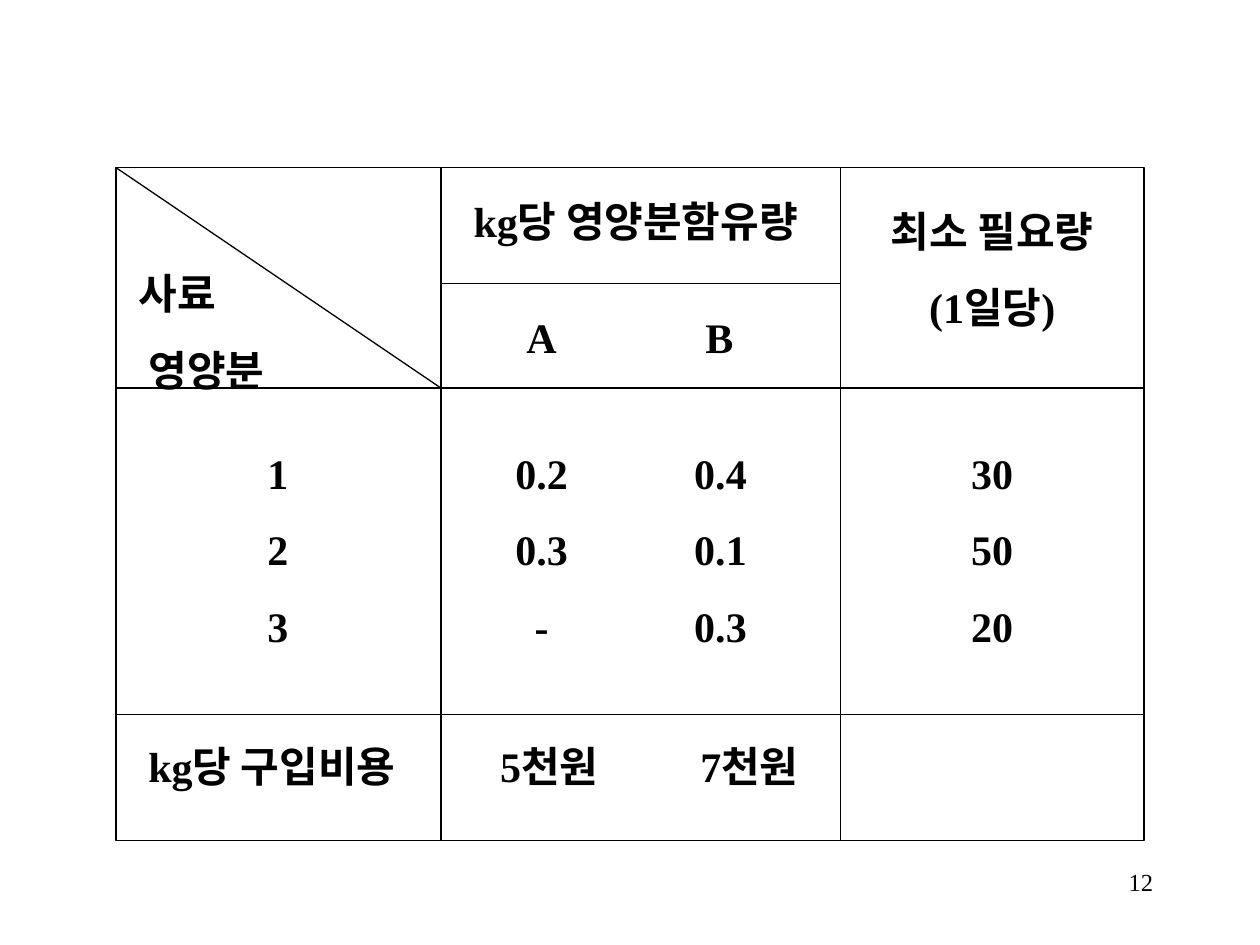
from lxml.etree import SubElement
from pptx import Presentation
from pptx.dml.color import RGBColor
from pptx.enum.shapes import MSO_CONNECTOR, MSO_SHAPE
from pptx.enum.text import MSO_ANCHOR, MSO_AUTO_SIZE, PP_ALIGN
from pptx.oxml.ns import qn
from pptx.util import Inches, Pt

BLACK = RGBColor(0, 0, 0)
FONT = "Times New Roman"
LINE_WIDTH = Pt(0.75)

# Grid of the feed table, in inches
LEFT, FIRST_RULE, SECOND_RULE, RIGHT = 0.92, 3.5, 6.67, 9.08
TOP, SUBHEAD_RULE, HEAD_RULE, COST_RULE, BOTTOM = 1.33, 2.25, 3.08, 5.67, 6.67


def add_rule(page, start, end):
    rule = page.shapes.add_connector(
        MSO_CONNECTOR.STRAIGHT, *map(Inches, start), *map(Inches, end))
    rule.line.color.rgb = BLACK
    rule.line.width = LINE_WIDTH
    SubElement(rule._element.spPr, qn("a:effectLst"))


def add_text(page, box, lines, align=PP_ALIGN.LEFT, size=24, bold=True, grow=True):
    """Add a text box with one paragraph for each line."""
    text_box = page.shapes.add_textbox(*map(Inches, box))
    frame = text_box.text_frame
    frame.word_wrap = True
    if grow:
        frame.auto_size = MSO_AUTO_SIZE.SHAPE_TO_FIT_TEXT
    for index, line in enumerate(lines):
        para = frame.add_paragraph() if index else frame.paragraphs[0]
        para.text = line
        para.alignment = align
        para.space_before = Pt(15 if bold else 0)
        for span in para.runs:
            span.font.name = FONT
            span.font.size = Pt(size)
            span.font.bold = bold
            span.font.color.rgb = BLACK
    return frame


def indent(para, width):
    para._p.get_or_add_pPr().set("marL", str(Inches(width)))


def centre_tabs(frame, stops):
    for para in frame.paragraphs:
        tab_list = SubElement(para._p.get_or_add_pPr(), qn("a:tabLst"))
        for stop in stops:
            SubElement(tab_list, qn("a:tab"), pos=str(Inches(stop)), algn="ctr")


def add_grid(page):
    frame = page.shapes.add_shape(
        MSO_SHAPE.RECTANGLE, Inches(LEFT), Inches(TOP),
        Inches(RIGHT - LEFT), Inches(BOTTOM - TOP))
    frame.shadow.inherit = False
    frame.fill.background()
    frame.line.color.rgb = BLACK
    frame.line.width = LINE_WIDTH
    for x in (FIRST_RULE, SECOND_RULE):
        add_rule(page, (x, TOP), (x, BOTTOM))
    for y in (COST_RULE, HEAD_RULE):
        add_rule(page, (LEFT, y), (RIGHT, y))
    add_rule(page, (FIRST_RULE, SUBHEAD_RULE), (SECOND_RULE, SUBHEAD_RULE))
    add_rule(page, (LEFT, TOP), (FIRST_RULE, HEAD_RULE))


def add_headings(page):
    content = add_text(page, (3.58, 1.5, 3.08, 0.5), ["kg당 영양분함유량"])
    indent(content.paragraphs[0], 0.08)
    add_text(page, (4.08, 2.42, 0.75, 0.5), ["A"])
    add_text(page, (5.5, 2.42, 0.67, 0.5), ["B"])
    add_text(page, (6.75, 1.58, 2.25, 1.11), ["최소 필요량", "(1일당)"], PP_ALIGN.CENTER)
    corner = add_text(page, (1, 1.67, 2.25, 1.51), ["사료", "영양분"], grow=False)
    corner.vertical_anchor = MSO_ANCHOR.BOTTOM
    indent(corner.paragraphs[1], 0.08)


def add_nutrients(page, top, height):
    add_text(page, (1.08, top, 2.25, height), ["1", "2", "3"], PP_ALIGN.CENTER)
    amounts = add_text(page, (3.75, top, 2.5, height),
                       ["\t0.2\t0.4", "\t0.3\t0.1", "\t-\t0.3"])
    centre_tabs(amounts, (0.45, 1.87))
    add_text(page, (7, top, 1.75, height), ["30", "50", "20"], PP_ALIGN.CENTER)


def add_costs(page, top, height):
    add_text(page, (1.08, top, 2.33, height), ["kg당 구입비용"])
    costs = add_text(page, (3.67, top, 2.83, height), ["\t5천원\t7천원"])
    centre_tabs(costs, (0.59, 2.18))


def main():
    deck = Presentation()
    deck.slide_width, deck.slide_height = Inches(10), Inches(7.5)
    page = deck.slides.add_slide(deck.slide_layouts[6])
    add_grid(page)
    add_headings(page)
    add_nutrients(page, 3.5, 1.72)
    add_costs(page, 5.83, 0.5)
    add_text(page, (7.17, 6.83, 2.08, 0.5), ["12"], PP_ALIGN.RIGHT,
             size=14, bold=False, grow=False)
    deck.save("out.pptx")


if __name__ == "__main__":
    main()
